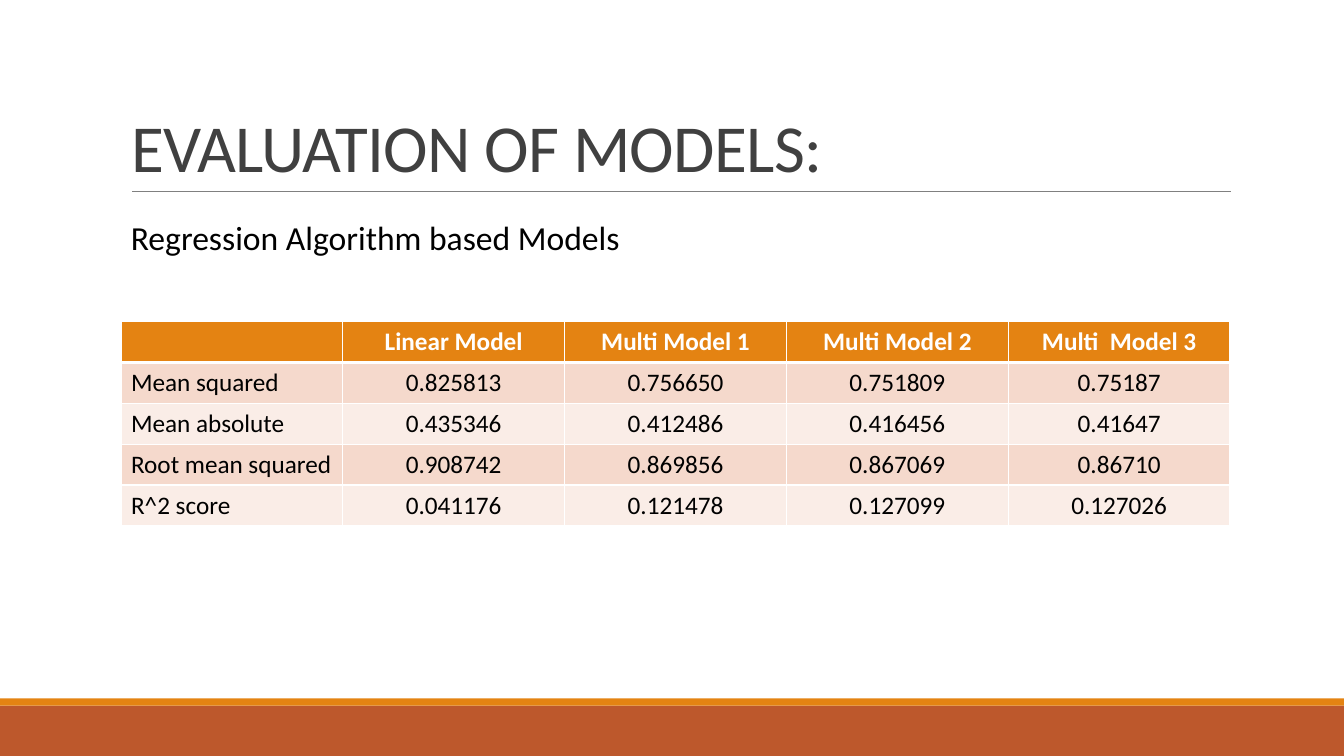
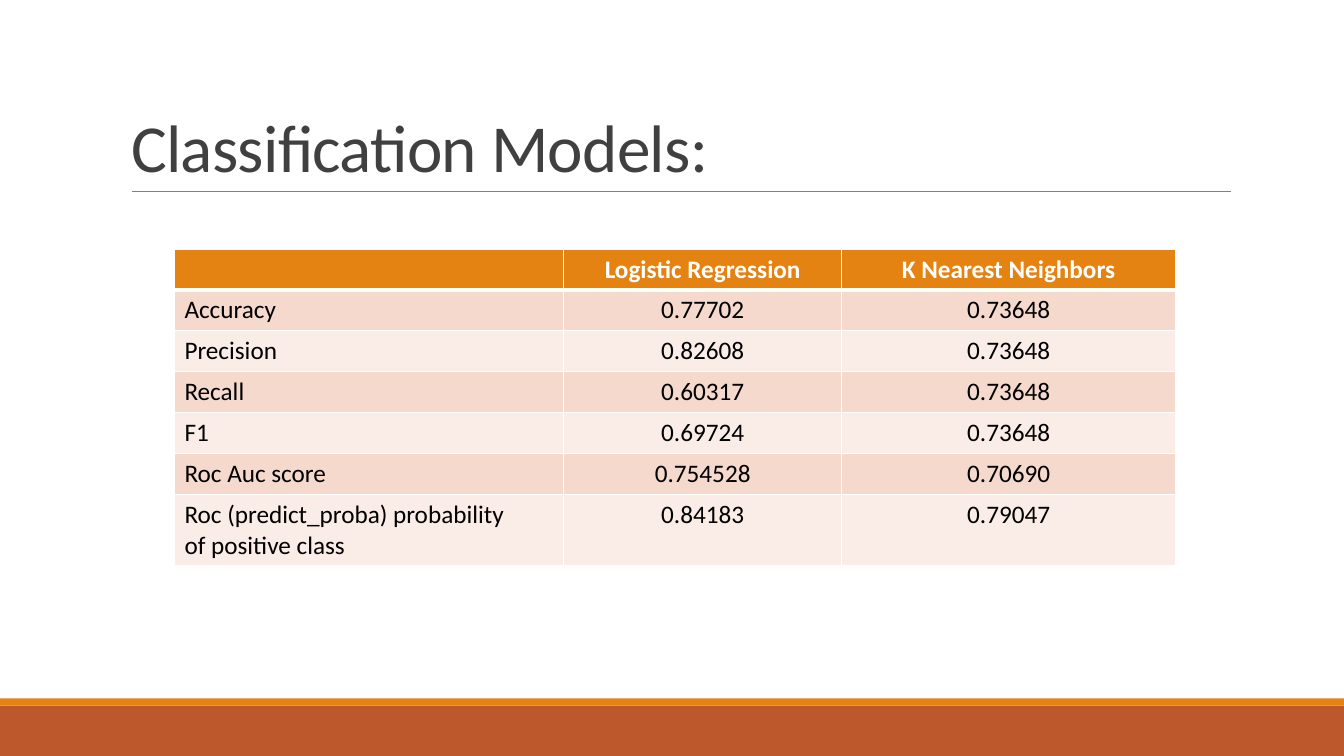
from dataclasses import dataclass

from lxml import etree
from pptx import Presentation
from pptx.dml.color import RGBColor
from pptx.enum.shapes import MSO_CONNECTOR, MSO_SHAPE
from pptx.enum.text import MSO_ANCHOR, MSO_AUTO_SIZE, PP_ALIGN
from pptx.oxml.ns import qn
from pptx.util import Inches, Pt

RECTANGLE, STRAIGHT = MSO_SHAPE.RECTANGLE, MSO_CONNECTOR.STRAIGHT
LEFT, CENTER = PP_ALIGN.LEFT, PP_ALIGN.CENTER
BOTTOM, NO_AUTOFIT = MSO_ANCHOR.BOTTOM, MSO_AUTO_SIZE.NONE
TITLE_ONLY = 5


@dataclass(frozen=True)
class Theme:
    font: str = "Calibri"
    title_size: float = 48
    subtitle_size: float = 24
    table_size: float = 18
    title: str = "404040"
    text: str = "000000"
    white: str = "FFFFFF"
    rule: str = "808080"
    accent: str = "E48312"
    band: str = "BD582C"
    rows: tuple = ("F5D9CC", "FAEDE7")


THEME = Theme()

# Content: each table row is a label followed by its values
SLIDES = [
    {
        "title": "EVALUATION OF MODELS:",
        "subtitle": "Regression Algorithm based Models",
        "origin": (1.2, 3.19),
        "columns": [2.2] * 5,
        "table": [
            ("", "Linear Model", "Multi Model 1", "Multi Model 2", "Multi  Model 3"),
            ("Mean squared", "0.825813", "0.756650", "0.751809", "0.75187"),
            ("Mean absolute", "0.435346", "0.412486", "0.416456", "0.41647"),
            ("Root mean squared", "0.908742", "0.869856", "0.867069", "0.86710"),
            ("R^2 score", "0.041176", "0.121478", "0.127099", "0.127026"),
        ],
    },
    {
        "title": "Classification Models:",
        "origin": (1.73, 2.47),
        "columns": [3.86, 2.76, 3.31],
        "table": [
            ("", "Logistic Regression", "K Nearest Neighbors"),
            ("Accuracy", "0.77702", "0.73648"),
            ("Precision", "0.82608", "0.73648"),
            ("Recall", "0.60317", "0.73648"),
            ("F1", "0.69724", "0.73648"),
            ("Roc Auc score", "0.754528", "0.70690"),
            ("Roc (predict_proba) probability\nof positive class", "0.84183", "0.79047"),
        ],
    },
]

# Grid
WIDTH, HEIGHT = 13.33, 7.5
MARGIN, CONTENT_WIDTH = 1.2, 11
RULE_LEFT, RULE_RIGHT, RULE_TOP = 1.31, 12.21, 1.9
TITLE_TOP = 0.31
BAND_TOP, STRIPE_HEIGHT = 7, 0.07
ROW_HEIGHT, EXTRA_LINE = Pt(29.2), Pt(22)


def box(*lengths):
    return [Inches(length) for length in lengths]


def write(frame, text, size, color=THEME.text, bold=False, align=LEFT,
          line_spacing=None, tracking=None):
    """Fill a text frame, one paragraph per line of text."""
    for index, line in enumerate(text.split("\n")):
        paragraph = frame.add_paragraph() if index else frame.paragraphs[0]
        paragraph.alignment = align
        if line_spacing:
            paragraph.line_spacing = line_spacing
        run = paragraph.add_run()
        run.text = line
        run.font.name, run.font.size, run.font.bold = THEME.font, Pt(size), bold
        run.font.color.rgb = RGBColor.from_string(color)
        if tracking:
            run.font._element.set("spc", str(round(tracking * 100)))


def add_band(slide, top, height, color):
    band = slide.shapes.add_shape(RECTANGLE, *box(0, top, WIDTH, height))
    band.shadow.inherit = False
    band.fill.solid()
    band.fill.fore_color.rgb = RGBColor.from_string(color)
    band.line.fill.background()
    return band


def add_rule(slide):
    rule = slide.shapes.add_connector(
        STRAIGHT, *box(RULE_LEFT, RULE_TOP, RULE_RIGHT, RULE_TOP))
    rule.line.color.rgb = RGBColor.from_string(THEME.rule)
    rule.line.width = Pt(0.5)
    etree.SubElement(rule.element.spPr, qn("a:effectLst"))
    return rule


def move_decoration_to_layout(slide):
    """Draw the shared bands and rule, then hand them to the slide's layout."""
    decoration = [
        add_band(slide, BAND_TOP, HEIGHT - BAND_TOP, THEME.band),
        add_band(slide, BAND_TOP - STRIPE_HEIGHT, STRIPE_HEIGHT, THEME.accent),
        add_rule(slide),
    ]
    for shape in decoration:
        slide.slide_layout.shapes.element.append(shape.element)


def set_title(slide, text):
    title = slide.shapes.title
    title.left, title.top, title.width, title.height = box(
        MARGIN, TITLE_TOP, CONTENT_WIDTH, RULE_TOP - TITLE_TOP)
    frame = title.text_frame
    frame.vertical_anchor, frame.auto_size = BOTTOM, NO_AUTOFIT
    write(frame, text, THEME.title_size, THEME.title, line_spacing=0.85, tracking=-0.5)


def add_subtitle(slide, text):
    frame = slide.shapes.add_textbox(*box(MARGIN, 2.1, 7.96, 0.5)).text_frame
    frame.word_wrap = True
    write(frame, text, THEME.subtitle_size)


def set_borders(cell, **widths):
    properties = cell._tc.get_or_add_tcPr()
    for side in ("L", "R", "T", "B"):
        line = etree.SubElement(properties, qn(f"a:ln{side}"), w=str(Pt(widths.get(side, 1))))
        fill = etree.SubElement(line, qn("a:solidFill"))
        etree.SubElement(fill, qn("a:srgbClr"), val=THEME.white)


def add_score_table(slide, origin, columns, rows):
    heights = [ROW_HEIGHT + EXTRA_LINE * row[0].count("\n") for row in rows]
    table = slide.shapes.add_table(
        len(rows), len(columns), *box(*origin, sum(columns)), sum(heights)).table
    table.horz_banding = False
    for column, width in zip(table.columns, columns):
        column.width = Inches(width)
    for row_index, row in enumerate(rows):
        table.rows[row_index].height = heights[row_index]
        header = row_index == 0
        fill = THEME.accent if header else THEME.rows[(row_index - 1) % 2]
        for column_index, text in enumerate(row):
            cell = table.cell(row_index, column_index)
            # The thick line under the header belongs to both rows it parts
            set_borders(cell, B=3 if header else 1, T=3 if row_index == 1 else 1)
            cell.fill.solid()
            cell.fill.fore_color.rgb = RGBColor.from_string(fill)
            write(cell.text_frame, text, THEME.table_size,
                  THEME.white if header else THEME.text, bold=header,
                  align=CENTER if column_index else LEFT)


def main():
    presentation = Presentation()
    presentation.slide_width, presentation.slide_height = box(WIDTH, HEIGHT)
    layout = presentation.slide_layouts[TITLE_ONLY]
    for index, content in enumerate(SLIDES):
        slide = presentation.slides.add_slide(layout)
        if index == 0:
            move_decoration_to_layout(slide)
        set_title(slide, content["title"])
        add_score_table(slide, content["origin"], content["columns"], content["table"])
        if "subtitle" in content:
            add_subtitle(slide, content["subtitle"])
    presentation.save("out.pptx")


if __name__ == "__main__":
    main()
